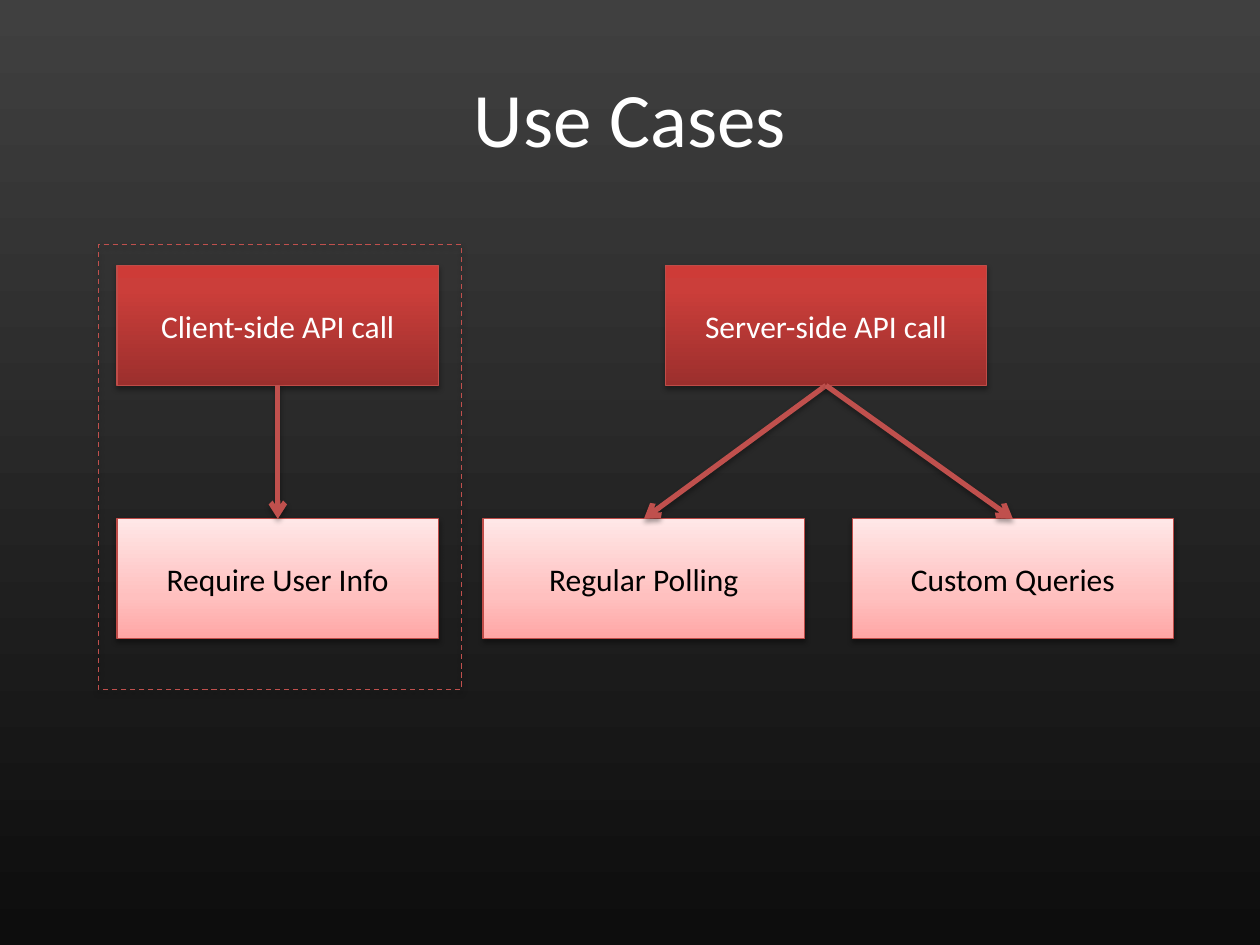
from copy import deepcopy

from lxml.etree import SubElement
from pptx import Presentation
from pptx.dml.color import RGBColor
from pptx.enum.dml import MSO_LINE
from pptx.enum.shapes import MSO_CONNECTOR, MSO_SHAPE
from pptx.enum.text import MSO_ANCHOR, PP_ALIGN
from pptx.oxml.ns import qn
from pptx.util import Cm, Pt

WHITE = RGBColor(0xFF, 0xFF, 0xFF)
BLACK = RGBColor(0x00, 0x00, 0x00)
BG_DARK = RGBColor(0x0D, 0x0D, 0x0D)
BG_LIGHT = RGBColor(0x40, 0x40, 0x40)
BORDER = RGBColor(0xBF, 0x4C, 0x48)
ACCENT = RGBColor(0xC0, 0x50, 0x4D)
RED = [(0, RGBColor(0x9C, 0x2F, 0x2D)), (0.8, RGBColor(0xCB, 0x3E, 0x3A)),
       (1, RGBColor(0xCE, 0x3B, 0x37))]
PINK = [(0, RGBColor(0xFF, 0xA6, 0xA5)), (0.35, RGBColor(0xFF, 0xC0, 0xBF)),
        (1, RGBColor(0xFF, 0xE7, 0xE7))]
FONT = "Calibri"
BOX_W, BOX_H = Cm(6.48), Cm(2.41)
CALL_Y, USE_Y = Cm(5.36), Cm(10.46)


def add_shadow(shape, alpha=35, dist=1.8):
    """Add a soft black shadow below; call it after the fill and line are set."""
    effects = SubElement(shape._element.spPr, qn("a:effectLst"))
    shadow = SubElement(effects, qn("a:outerShdw"), blurRad=str(Pt(3.1)),
                        dist=str(Pt(dist)), dir="5400000", rotWithShape="0")
    color = SubElement(shadow, qn("a:srgbClr"), val="000000")
    SubElement(color, qn("a:alpha"), val=str(alpha * 1000))


def set_text(shape, text, size, color):
    tf = shape.text_frame
    tf.word_wrap = True
    tf.vertical_anchor = MSO_ANCHOR.MIDDLE
    p = tf.paragraphs[0]
    p.text = text
    p.alignment = PP_ALIGN.CENTER
    p.font.name = FONT
    p.font.size = Pt(size)
    p.font.color.rgb = color


prs = Presentation()
prs.slide_width, prs.slide_height = Cm(25.4), Cm(19.05)
s = prs.slides.add_slide(prs.slide_layouts[5])

bg = s.background.fill
bg.gradient()
bg.gradient_angle = 90
for stop, color in zip(bg.gradient_stops, (BG_DARK, BG_LIGHT)):
    stop.color.rgb = color

title = s.shapes.title
title.left, title.top, title.width, title.height = Cm(1.27), Cm(0.76), Cm(22.86), Cm(3.18)
set_text(title, "Use Cases", 44, WHITE)

# Boxes: API calls above, their uses below
boxes = {}
for text, x, y, stops, color, alpha, dist in [
    ("Client-side API call", 2.36, CALL_Y, RED, WHITE, 35, 1.8),
    ("Server-side API call", 13.41, CALL_Y, RED, WHITE, 35, 1.8),
    ("Require User Info", 2.36, USE_Y, PINK, BLACK, 38, 1.6),
    ("Regular Polling", 9.74, USE_Y, PINK, BLACK, 38, 1.6),
    ("Custom Queries", 17.18, USE_Y, PINK, BLACK, 38, 1.6),
]:
    sp = s.shapes.add_shape(MSO_SHAPE.RECTANGLE, Cm(x), y, BOX_W, BOX_H)
    sp.fill.gradient()
    sp.fill.gradient_angle = 90
    gs_list = sp._element.spPr.find(".//" + qn("a:gsLst"))
    gs_list.insert(1, deepcopy(gs_list[0]))
    for gs, stop, (position, stop_color) in zip(gs_list, sp.fill.gradient_stops, stops):
        gs.set("pos", str(round(position * 100000)))
        stop.color.rgb = stop_color
    sp.line.color.rgb = BORDER
    sp.line.width = Pt(0.75)
    add_shadow(sp, alpha, dist)
    set_text(sp, text, 18, color)
    boxes[text] = sp

# Arrows from the bottom of a call to the top of a use
for call, use in [
    ("Client-side API call", "Require User Info"),
    ("Server-side API call", "Regular Polling"),
    ("Server-side API call", "Custom Queries"),
]:
    arrow = s.shapes.add_connector(MSO_CONNECTOR.STRAIGHT, 0, 0, 0, 0)
    arrow.begin_connect(boxes[call], 2)
    arrow.end_connect(boxes[use], 0)
    arrow.line.color.rgb = ACCENT
    arrow.line.width = Pt(3)
    SubElement(arrow.line._get_or_add_ln(), qn("a:tailEnd"), type="arrow")
    add_shadow(arrow)

# Dashed frame around the client-side case
frame = s.shapes.add_shape(MSO_SHAPE.RECTANGLE, Cm(1.98), Cm(4.93), Cm(7.32), Cm(8.97))
frame.fill.background()
frame.line.color.rgb = ACCENT
frame.line.width = Pt(0.75)
frame.line.dash_style = MSO_LINE.DASH
add_shadow(frame)

prs.save("out.pptx")
